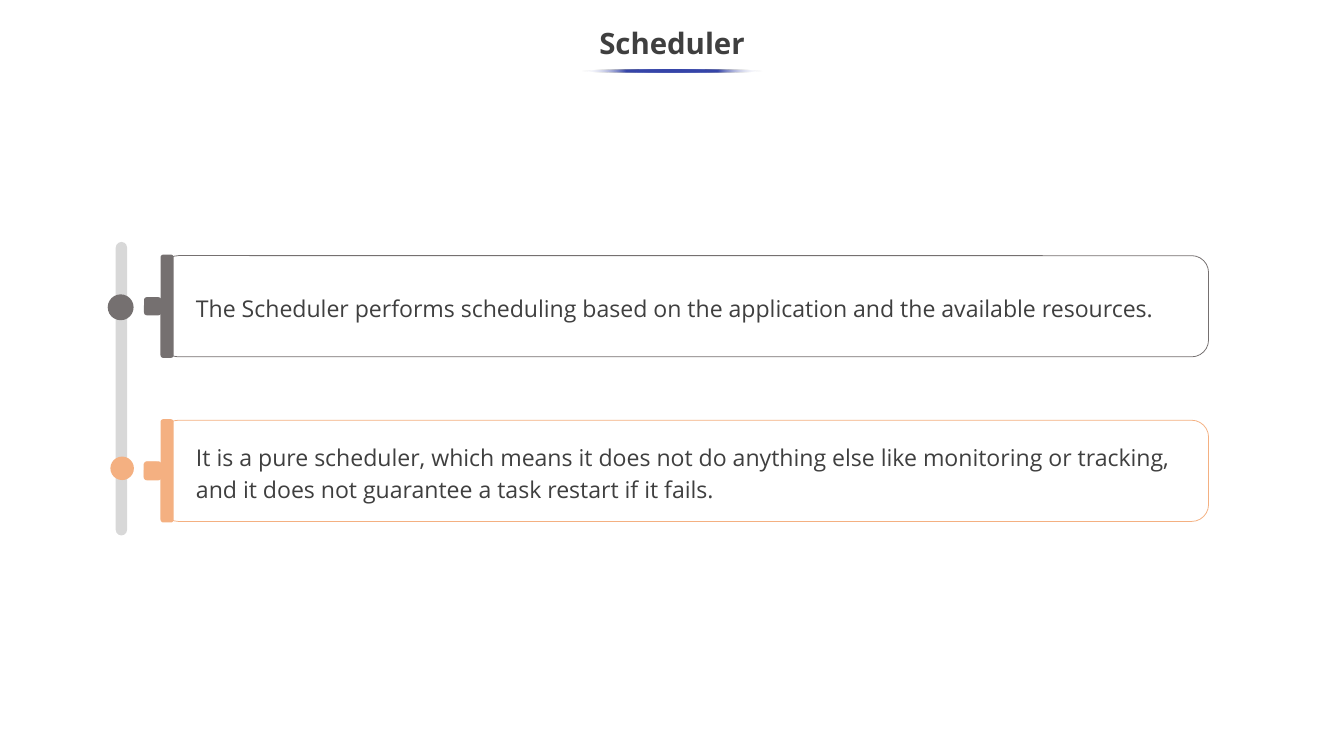
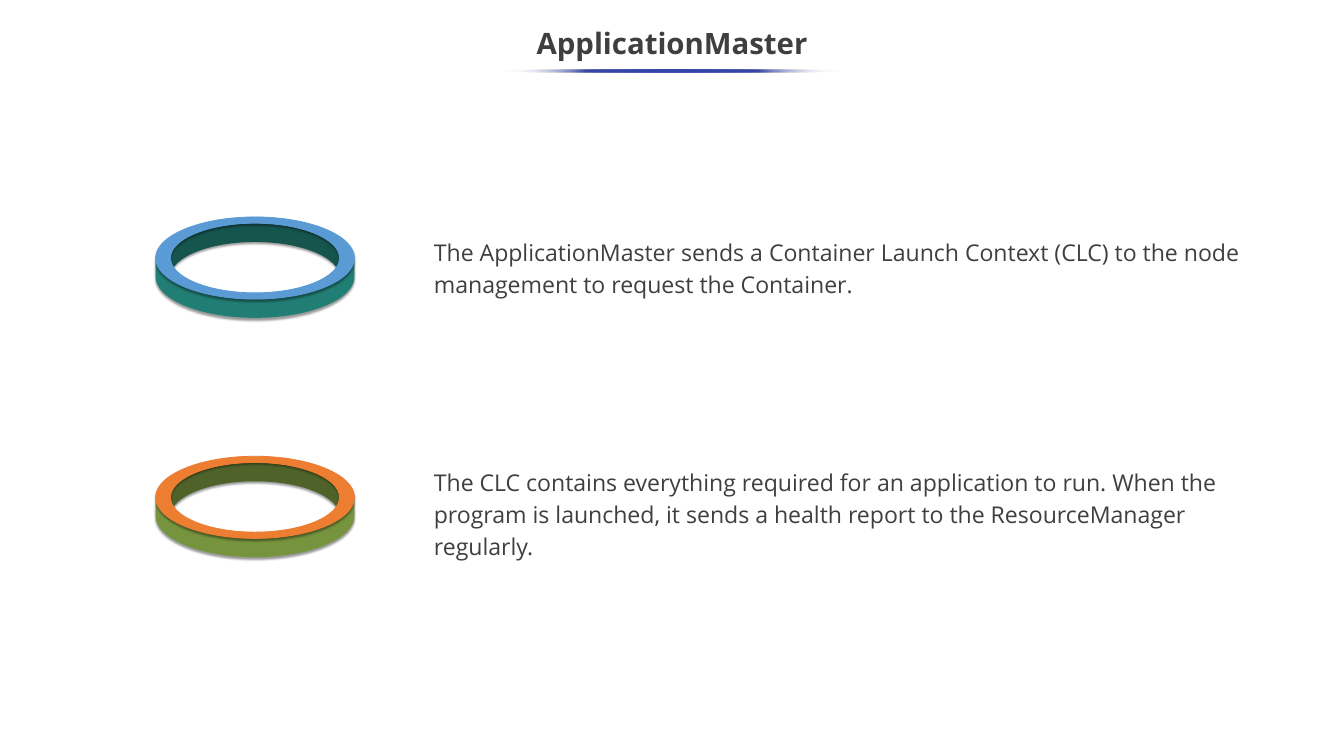
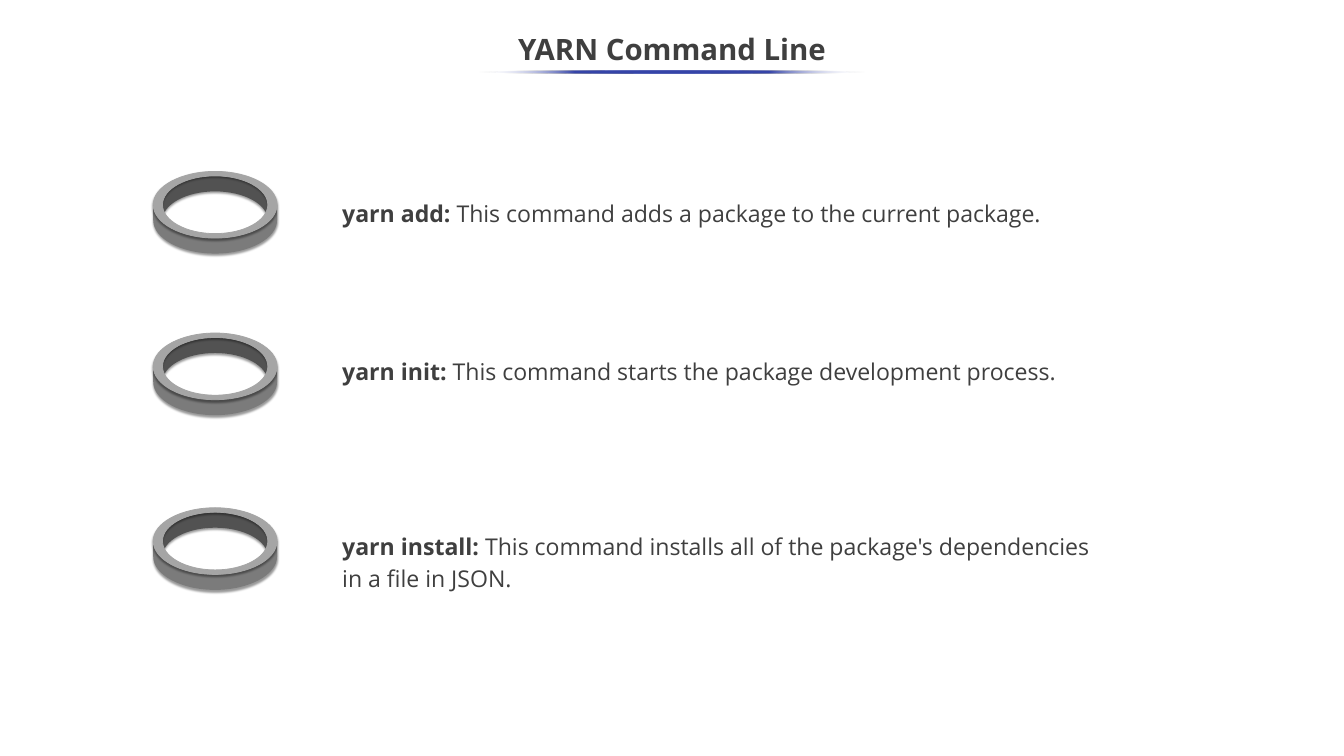
import math
from dataclasses import dataclass

import lxml.etree
import pptx
import pptx.dml.color
import pptx.enum.shapes
import pptx.enum.text
import pptx.oxml.ns
import pptx.presentation
import pptx.shapes.autoshape
import pptx.shapes.shapetree
import pptx.slide
import pptx.text.text
import pptx.util
from pptx.util import Cm

SLIDE_WIDTH, SLIDE_HEIGHT = 45.16, 25.4
FONT = "Open Sans"
INK, WHITE, ACCENT = "3F3F3F", "FFFFFF", "3645A9"
GREY, PEACH, SPINE_GREY = "757070", "F4B081", "D8D8D8"
TITLE_SIZE, BODY_SIZE = 28, 22
LINE_SPACING = 1.15
QUARTER_HANDLE = 0.55  # control point distance for a quarter circle of radius 1

ROUNDED = pptx.enum.shapes.MSO_SHAPE.ROUNDED_RECTANGLE
OVAL = pptx.enum.shapes.MSO_SHAPE.OVAL
MIDDLE = pptx.enum.text.MSO_ANCHOR.MIDDLE
TOP = pptx.enum.text.MSO_ANCHOR.TOP
LEFT = pptx.enum.text.PP_ALIGN.LEFT
CENTER = pptx.enum.text.PP_ALIGN.CENTER

# Shapes can be drawn on a slide or inside a group
Canvas = pptx.shapes.shapetree.SlideShapes | pptx.shapes.shapetree.GroupShapes
Shape = pptx.shapes.autoshape.Shape
Point = tuple[float, float]


@dataclass(frozen=True)
class Box:
    """Left, top, width and height in centimetres."""
    left: float
    top: float
    width: float
    height: float

    def emu(self) -> tuple[Cm, Cm, Cm, Cm]:
        return Cm(self.left), Cm(self.top), Cm(self.width), Cm(self.height)


@dataclass(frozen=True)
class Milestone:
    text: str
    color: str
    card_top: float
    dot: Box
    dot_line: float
    peg_line: float


@dataclass(frozen=True)
class RingSize:
    center_x: float
    outer: Point
    inner: Point
    depth: float


@dataclass(frozen=True)
class RingColors:
    rim: str
    front: str
    back: str


@dataclass(frozen=True)
class RingItem:
    center_y: float
    colors: RingColors
    text_box: Box
    text: str
    command: str = ""


MILESTONES = [
    Milestone("The Scheduler performs scheduling based on the application and the available resources.",
              GREY, 8.59, Box(3.66, 9.93, 0.79, 0.79), 2.25, 0),
    Milestone("It is a pure scheduler, which means it does not do anything else like monitoring or tracking, "
              "and it does not guarantee a task restart if it fails.",
              PEACH, 14.12, Box(3.71, 15.34, 0.79, 0.79), 0, 0.75),
]

LARGE_RING = RingSize(8.57, (3.34, 1.38), (2.84, 1.17), 0.63)
SMALL_RING = RingSize(7.23, (2.08, 1.12), (1.77, 0.97), 0.52)
SILVER = RingColors("A5A5A5", "7B7B7B", "525252")

MASTER_ITEMS = [
    RingItem(8.67, RingColors("5B9BD5", "217E75", "16544E"), Box(14.33, 7.75, 28.22, 2.36),
             "The ApplicationMaster sends a Container Launch Context (CLC) to the node management "
             "to request the Container."),
    RingItem(16.71, RingColors("ED7D31", "76933D", "4F6229"), Box(14.33, 15.47, 28.22, 3.43),
             "The CLC contains everything required for an application to run. When the program is launched, "
             "it sends a health report to the ResourceManager regularly."),
]

COMMAND_ITEMS = [
    RingItem(6.88, SILVER, Box(11.25, 6.43, 30.89, 1.27),
             " This command adds a package to the current package.", "yarn add:"),
    RingItem(12.31, SILVER, Box(11.25, 11.73, 26.42, 1.27),
             " This command starts the package development process.", "yarn init:"),
    RingItem(18.18, SILVER, Box(11.25, 17.63, 26.42, 2.36),
             " This command installs all of the package's dependencies in a file in JSON.", "yarn install:"),
]


def rgb(color: str) -> pptx.dml.color.RGBColor:
    return pptx.dml.color.RGBColor.from_string(color)


def sub_element(parent: lxml.etree._Element, tag: str, **attributes: object) -> lxml.etree._Element:
    values = {name: str(value) for name, value in attributes.items()}
    return lxml.etree.SubElement(parent, pptx.oxml.ns.qn(tag), values)


def paint(shape: Shape, fill: str, line_width: float = 0, line_color: str = "") -> None:
    """Give a flat fill and, if it has a width, an outline in the fill colour or its own."""
    shape.shadow.inherit = False
    shape.fill.solid()
    shape.fill.fore_color.rgb = rgb(fill)
    if line_width:
        shape.line.color.rgb = rgb(line_color or fill)
        shape.line.width = pptx.util.Pt(line_width)
    else:
        shape.line.fill.background()


def add_rounded(canvas: Canvas, box: Box, fill: str, line_width: float = 0,
                line_color: str = "", corner: float = 0.167) -> Shape:
    shape = canvas.add_shape(ROUNDED, *box.emu())
    shape.adjustments[0] = corner
    paint(shape, fill, line_width, line_color)
    return shape


def write(frame: pptx.text.text.TextFrame, text: str, size: float = BODY_SIZE, bold: bool = False,
          align: pptx.enum.text.PP_ALIGN = LEFT, anchor: pptx.enum.text.MSO_ANCHOR = TOP,
          command: str = "") -> None:
    """Write one paragraph, led by a bold command if there is one."""
    frame.word_wrap = True
    frame.vertical_anchor = anchor
    paragraph = frame.paragraphs[0]
    paragraph.text = command or text
    if command:
        paragraph.add_run().text = text
    paragraph.alignment = align
    paragraph.line_spacing = LINE_SPACING
    for position, run in enumerate(paragraph.runs):
        run.font.name = FONT
        run.font.size = pptx.util.Pt(size)
        run.font.color.rgb = rgb(INK)
        run.font.bold = bold or (bool(command) and position == 0)


def add_underline(canvas: Canvas, box: Box) -> None:
    """Draw a thin ellipse that fades out at both ends."""
    underline = canvas.add_shape(OVAL, *box.emu())
    underline.shadow.inherit = False
    underline.line.fill.background()
    underline.fill.gradient()
    underline.fill.gradient_angle = 180
    stops = underline.element.spPr.find(".//" + pptx.oxml.ns.qn("a:gsLst"))
    for stop in list(stops):
        stops.remove(stop)
    for percent in range(0, 101, 25):
        at_end = percent in (0, 100)
        stop = sub_element(stops, "a:gs", pos=percent * 1000)
        color = sub_element(stop, "a:srgbClr", val=WHITE if at_end else ACCENT)
        if at_end:
            sub_element(color, "a:alpha", val=0)


def add_titled_slide(deck: pptx.presentation.Presentation, title: str, title_top: float) -> pptx.slide.Slide:
    slide = deck.slides.add_slide(deck.slide_layouts[6])
    heading = slide.shapes.add_textbox(0, Cm(title_top), Cm(SLIDE_WIDTH), Cm(1.91))
    write(heading.text_frame, title, TITLE_SIZE, True, CENTER, MIDDLE)
    return slide


def add_milestone(canvas: Canvas, milestone: Milestone) -> None:
    left, height, peg_height = 5.43, 3.4, 0.61
    card = add_rounded(canvas, Box(left, milestone.card_top, 35.18, height),
                       WHITE, 0.75, milestone.color)
    card.text_frame.margin_left = Cm(0.99)
    write(card.text_frame, milestone.text, anchor=MIDDLE)
    peg_top = milestone.card_top + (height - peg_height) / 2
    add_rounded(canvas, Box(4.84, peg_top, 0.58, peg_height), milestone.color, milestone.peg_line)
    add_rounded(canvas, Box(left, milestone.card_top, 0.37, height), milestone.color, 2)


def add_timeline(canvas: Canvas) -> None:
    add_rounded(canvas, Box(3.89, 8.13, 0.38, 9.86), SPINE_GREY, corner=0.5)
    for milestone in MILESTONES:
        dot = canvas.add_shape(OVAL, *milestone.dot.emu())
        paint(dot, milestone.color, milestone.dot_line)


def arc(center: Point, radii: Point, start: int, end: int) -> list[Point]:
    """Curve points of an elliptic arc: a start, then two handles and an end for each quarter.

    Angles are multiples of 90 degrees and run clockwise from the right.
    """
    turn = 90 if end > start else -90
    handle = math.copysign(QUARTER_HANDLE, turn)

    def place(degrees: int, pull: float) -> Point:
        cosine, sine = math.cos(math.radians(degrees)), math.sin(math.radians(degrees))
        return (center[0] + radii[0] * (cosine - pull * sine),
                center[1] + radii[1] * (sine + pull * cosine))

    points = [place(start, 0)]
    for angle in range(start, end, turn):
        points += [place(angle, handle), place(angle + turn, -handle), place(angle + turn, 0)]
    return points


def band(upper: list[Point], lower: list[Point]) -> list[Point]:
    """Join two arcs by a straight edge, written as a curve like the rest."""
    return upper + [upper[-1], lower[0]] + lower


def bend(outline: Shape) -> None:
    """Turn each three straight segments of an outline into one Bézier curve."""
    segments = list(outline.element.spPr.iter(pptx.oxml.ns.qn("a:lnTo")))
    for trio in zip(segments[::3], segments[1::3], segments[2::3]):
        curve = sub_element(trio[0].getparent(), "a:cubicBezTo")
        trio[0].addprevious(curve)
        for segment in trio:
            curve.append(segment[0])
            segment.getparent().remove(segment)


def add_outline(canvas: Canvas, contours: list[list[Point]], fill: str, line_width: float = 0) -> None:
    """Draw closed curved contours as one shape with a soft shadow below it."""
    paths = [[(Cm(x), Cm(y)) for x, y in contour] for contour in contours]
    builder = canvas.build_freeform(*paths[0][0])
    builder.add_line_segments(paths[0][1:], close=True)
    for hole in paths[1:]:
        builder.move_to(*hole[0])
        builder.add_line_segments(hole[1:], close=True)
    outline = builder.convert_to_shape()
    bend(outline)
    paint(outline, fill, line_width)
    effects = outline.element.spPr.find(pptx.oxml.ns.qn("a:effectLst"))
    shadow = sub_element(effects, "a:outerShdw", blurRad=pptx.util.Pt(2), dist=pptx.util.Pt(2),
                         dir=90 * 60000, algn="ctr", rotWithShape=0)
    color = sub_element(shadow, "a:srgbClr", val="000000")
    sub_element(color, "a:alpha", val=40000)


def add_ring(canvas: Canvas, size: RingSize, center_y: float, colors: RingColors) -> None:
    center = (size.center_x, center_y)
    base = (size.center_x, center_y + size.depth)
    back = band(arc(center, size.inner, 180, 360), arc(base, size.inner, 360, 180))
    front = band(arc(center, size.outer, 0, 180), arc(base, size.outer, 180, 0))
    rim = [arc(center, size.outer, 0, 360), arc(center, size.inner, 360, 0)]
    add_outline(canvas, [back], colors.back)
    add_outline(canvas, [front], colors.front)
    add_outline(canvas, rim, colors.rim, 0.75)


def add_ring_list(slide: pptx.slide.Slide, size: RingSize, items: list[RingItem]) -> None:
    for item in items:
        add_ring(slide.shapes.add_group_shape().shapes, size, item.center_y, item.colors)
        note = slide.shapes.add_textbox(*item.text_box.emu())
        write(note.text_frame, item.text, command=item.command)


def main() -> None:
    deck = pptx.Presentation()
    deck.slide_width, deck.slide_height = Cm(SLIDE_WIDTH), Cm(SLIDE_HEIGHT)

    scheduler = add_titled_slide(deck, "Scheduler", 0.38)
    for milestone in MILESTONES:
        add_milestone(scheduler.shapes.add_group_shape().shapes, milestone)
    add_timeline(scheduler.shapes.add_group_shape().shapes)
    add_underline(scheduler.shapes, Box(19.53, 2.34, 6.1, 0.1))

    master = add_titled_slide(deck, "ApplicationMaster", 0.38)
    add_ring_list(master, LARGE_RING, MASTER_ITEMS)
    add_underline(master.shapes, Box(16.89, 2.34, 11.38, 0.1))

    commands = add_titled_slide(deck, "YARN Command Line", 0.58)
    add_ring_list(commands, SMALL_RING, COMMAND_ITEMS)
    add_underline(commands.shapes, Box(16.08, 2.36, 13, 0.1))

    deck.save("out.pptx")


if __name__ == "__main__":
    main()
